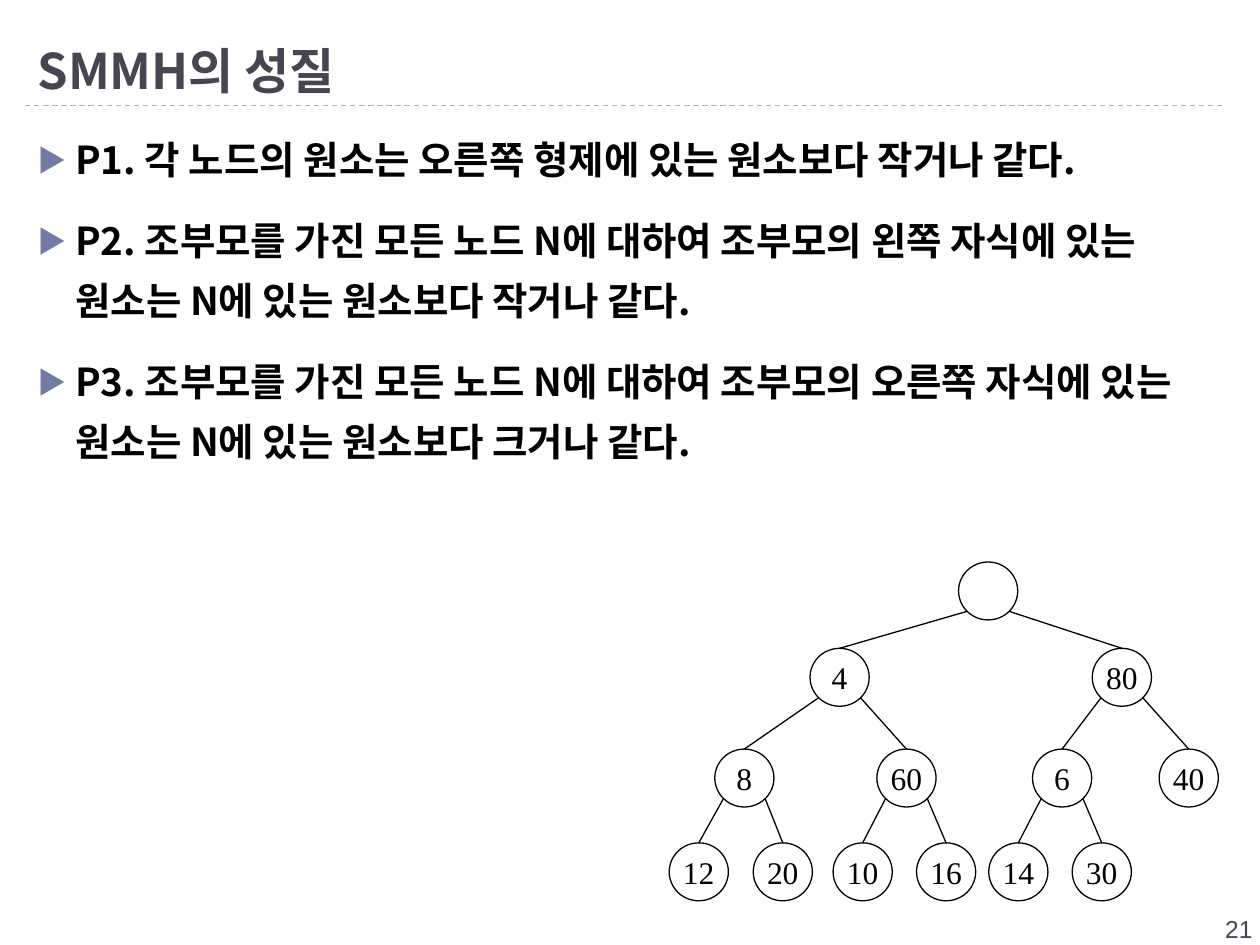
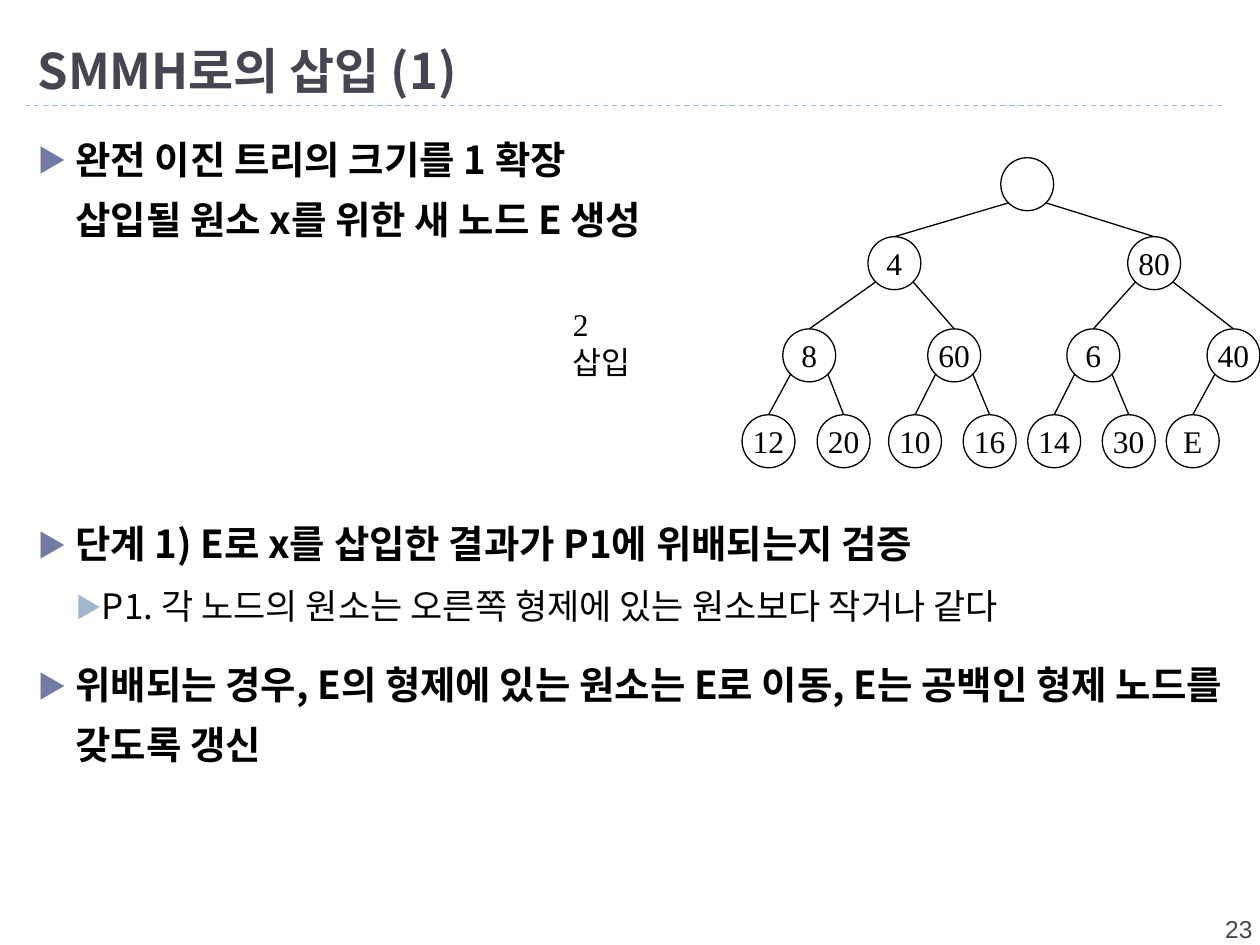
from dataclasses import dataclass
from pptx import Presentation
from pptx.dml.color import RGBColor
from pptx.enum.dml import MSO_LINE
from pptx.enum.shapes import MSO_CONNECTOR, MSO_SHAPE
from pptx.enum.text import MSO_ANCHOR, PP_ALIGN
from pptx.oxml.ns import qn
from pptx.util import Cm, Pt
from lxml.etree import SubElement


@dataclass(frozen=True)
class Theme:
    ink: str = "000000"
    dark: str = "464653"
    rule: str = "9FB8CD"
    marks: tuple = ("727CA3", "9FB8CD")
    sans: str = "Noto Sans CJK KR"
    serif: str = "Times New Roman"
    foot: str = "Arial"
    head_size: int = 28
    sizes: tuple = (22, 20)
    node_size: int = 18
    foot_size: int = 14
    pitch: float = 34.3
    gap: int = 12
    # left margin and hanging indent of each level, in cm
    dents: tuple = ((0.76, -0.76), (1.24, -0.48))


T = Theme()

# Boxes in cm: left, top, width, height
HEAD = (0.51, 0.43, 24.41, 1.7)
BODY = (0.51, 2.34, 24.41, 16.2)
FOOT = (19.99, 18.31, 5.51, 1.02)

# Tree in heap order; columns and rows count in node widths and heights
KEYS = ["", "4", "80", "8", "60", "6", "40", "12", "20", "10", "16", "14", "30"]
COLS = [4.89, 2.38, 7.15, 0.77, 3.51, 6.14, 8.28,
        0, 1.42, 2.77, 4.18, 5.4, 6.81]
WIDE = COLS[:2] + [7.29] + COLS[3:6] + [8.79] + COLS[7:] + [8.02]
ROWS = [0, 1.49, 3.23, 4.85]
EDGE = 0.35


def paint(para, font, size, color, bold=False):
    for run in para.runs:
        run.font.name = font
        run.font.size = Pt(size)
        run.font.bold = bold
        run.font.color.rgb = RGBColor.from_string(color)
        east = SubElement(run.font._element, qn("a:ea"))
        east.set("typeface", T.sans)


def add_text(slide, box, text, font, size, color, bold=False, wrap=True):
    frame = slide.shapes.add_textbox(*map(Cm, box)).text_frame
    frame.word_wrap = wrap
    frame.text = text
    for para in frame.paragraphs:
        paint(para, font, size, color, bold)
    return frame


def add_line(shapes, start, end, color):
    line = shapes.add_connector(MSO_CONNECTOR.STRAIGHT,
                                *map(Cm, (*start, *end)))
    line.line.color.rgb = RGBColor.from_string(color)
    line.line.width = Pt(0.75)
    SubElement(line._element.spPr, qn("a:effectLst"))
    return line


def add_mark(para, level):
    """Hanging indent with a coloured triangle."""
    left, hang = T.dents[level]
    props = para._p.get_or_add_pPr()
    props.set("marL", str(Cm(left)))
    props.set("indent", str(Cm(hang)))
    tint = SubElement(SubElement(props, qn("a:buClr")), qn("a:srgbClr"))
    tint.set("val", T.marks[level])
    SubElement(props, qn("a:buSzPct")).set("val", "76000")
    SubElement(props, qn("a:buFont")).set("typeface", T.sans)
    SubElement(props, qn("a:buChar")).set("char", "▶")


def add_frame(deck, title, number):
    """Title, dashed rule and page number."""
    slide = deck.slides.add_slide(deck.slide_layouts[6])
    left, top, _, high = HEAD
    base = top + high
    rule = add_line(slide.shapes, (left, base), (24.69, base), T.rule)
    rule.line.dash_style = MSO_LINE.DASH
    head = add_text(slide, HEAD, title, T.sans, T.head_size, T.dark, True)
    head.vertical_anchor = MSO_ANCHOR.BOTTOM
    foot = add_text(slide, FOOT, str(number), T.foot, T.foot_size, T.dark)
    foot.paragraphs[0].alignment = PP_ALIGN.RIGHT
    return slide


def add_list(slide, box, items):
    """Items are (level, space before, text)."""
    frame = slide.shapes.add_textbox(*map(Cm, box)).text_frame
    frame.word_wrap = True
    for spot, (level, gap, text) in enumerate(items):
        para = frame.add_paragraph() if spot else frame.paragraphs[0]
        para.text = text
        para.level = level
        para.line_spacing = Pt(T.pitch)
        para.space_before = Pt(gap)
        add_mark(para, level)
        paint(para, T.sans, T.sizes[level], T.ink, level == 0)


def add_tree(slide, box, keys, cols):
    """Binary tree in heap order, scaled to fill the box."""
    left, top, wide, high = box
    wide /= max(cols) + 1
    high /= ROWS[-1] + 1
    shapes = slide.shapes.add_group_shape().shapes
    spots = [(left + col * wide, top + ROWS[(i + 1).bit_length() - 1] * high)
             for i, col in enumerate(cols)]
    for i, (key, (x, y)) in enumerate(zip(keys, spots)):
        node = shapes.add_shape(MSO_SHAPE.OVAL, *map(Cm, (x, y, wide, high)))
        node.shadow.inherit = False
        node.fill.background()
        node.line.color.rgb = RGBColor.from_string(T.ink)
        node.line.width = Pt(0.75)
        if key:
            frame = node.text_frame
            frame.word_wrap = False
            frame.vertical_anchor = MSO_ANCHOR.MIDDLE
            frame.text = key
            frame.paragraphs[0].alignment = PP_ALIGN.CENTER
            paint(frame.paragraphs[0], T.serif, T.node_size, T.ink)
        if i:
            # Odd places are left children
            px, py = spots[(i - 1) // 2]
            side = -EDGE if i % 2 else EDGE
            add_line(shapes,
                     (px + (0.5 + side) * wide, py + (0.5 + EDGE) * high),
                     (x + wide / 2, y), T.ink)


deck = Presentation()
deck.slide_width, deck.slide_height = Cm(25.4), Cm(19.05)

# Properties
slide = add_frame(deck, "SMMH의 성질", 21)
add_list(slide, BODY, [
    (0, T.gap, "P1. 각 노드의 원소는 오른쪽 형제에 있는 원소보다 작거나 같다."),
    (0, T.gap, "P2. 조부모를 가진 모든 노드 N에 대하여 조부모의 왼쪽 자식에 있는 "
               "원소는 N에 있는 원소보다 작거나 같다."),
    (0, T.gap, "P3. 조부모를 가진 모든 노드 N에 대하여 조부모의 오른쪽 자식에 있는 "
               "원소는 N에 있는 원소보다 크거나 같다."),
])
add_tree(slide, (13.49, 11.33, 11.07, 6.83), KEYS, COLS)

# Insertion; the wide gap leaves room for the tree
slide = add_frame(deck, "SMMH로의 삽입 (1)", 23)
add_list(slide, BODY, [
    (0, T.gap, "완전 이진 트리의 크기를 1 확장\v삽입될 원소 x를 위한 새 노드 E 생성"),
    (0, 151, "단계 1) E로 x를 삽입한 결과가 P1에 위배되는지 검증"),
    (1, 0, "P1. 각 노드의 원소는 오른쪽 형제에 있는 원소보다 작거나 같다"),
    (0, T.gap, "위배되는 경우, E의 형제에 있는 원소는 E로 이동, E는 공백인 형제 "
               "노드를 갖도록 갱신"),
])
add_tree(slide, (14.96, 3.18, 10.44, 6.25), KEYS + ["E"], WIDE)
add_text(slide, (11.3, 6.02, 2.26, 1.02), "2\v삽입",
         T.serif, T.node_size, T.ink, wrap=False)

deck.save("out.pptx")
